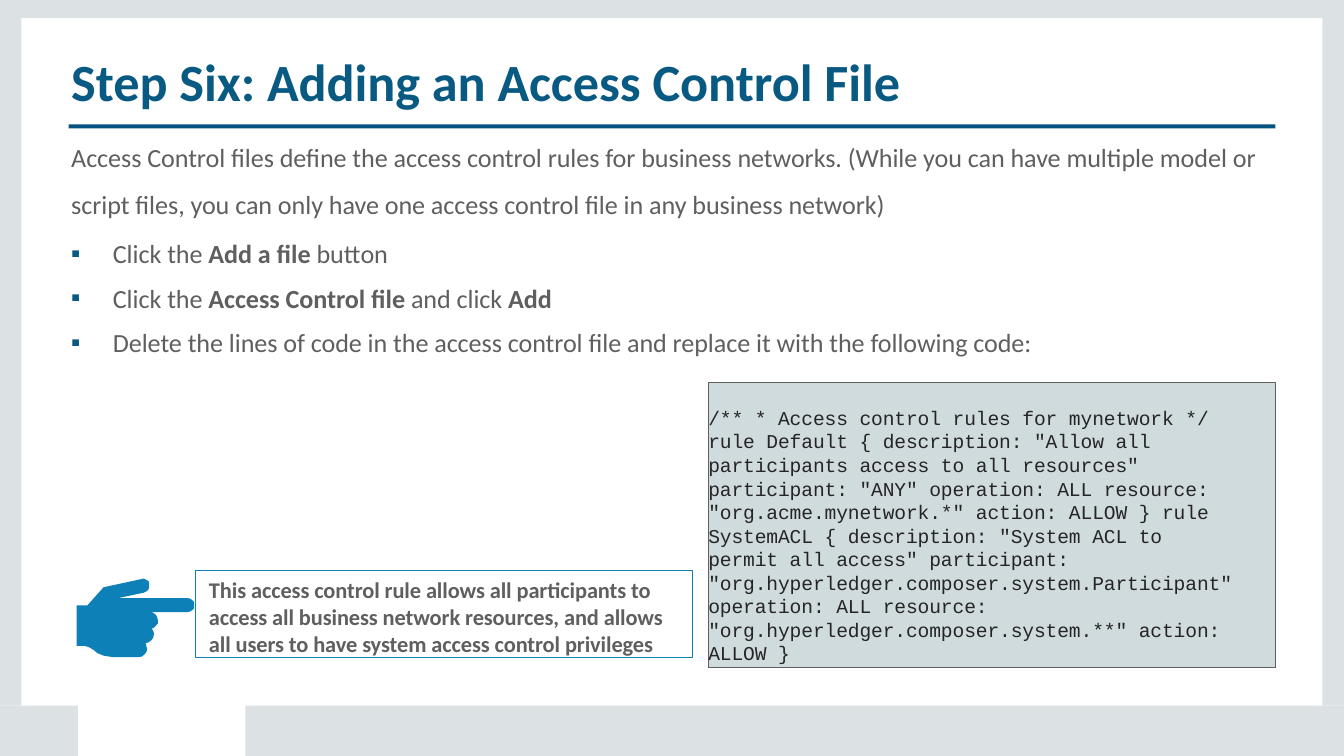
from typing import NamedTuple

from lxml import etree
from pptx import Presentation
from pptx.dml.color import RGBColor
from pptx.enum.shapes import MSO_SHAPE
from pptx.enum.text import MSO_ANCHOR, PP_ALIGN
from pptx.oxml.ns import qn
from pptx.util import Inches, Pt

RECT = MSO_SHAPE.RECTANGLE
TOP = MSO_ANCHOR.TOP
LEFT = PP_ALIGN.LEFT

NAVY, RULE_BLUE, BLUE = "095A82", "055180", "0D80B8"
GREY, FRAME_GREY, CODE_FILL, CODE_TEXT = "5F5F5F", "DCE2E3", "D0DBDE", "252525"


class Box(NamedTuple):
    x: float
    y: float
    w: float
    h: float


class Style(NamedTuple):
    size: float
    color: str
    bold: bool = False
    font: str = "Calibri"
    spacing: int = -6  # hundredths of a point


class Segment(NamedTuple):
    text: str
    bold: bool = False


TITLE = Style(56, NAVY, bold=True)
BODY = Style(28, GREY)
NOTE = Style(24, GREY, bold=True, spacing=-10)
CODE = Style(21, CODE_TEXT, font="Courier New", spacing=-14)

FRAME = [
    Box(19.68, 0.27, 0.32, 10.23),
    Box(0, 0.27, 0.32, 10.23),
    Box(3.65, 10.5, 16.35, 0.75),
    Box(0, 10.5, 1.16, 0.75),
    Box(0, 0, 20, 0.27),
]

INTRO = (
    "Access Control files define the access control rules for business networks. "
    "(While you can have multiple model or script files, you can only have one "
    "access control file in any business network)"
)
STEPS = [
    [Segment("Click the "), Segment("Add a file ", True), Segment("button")],
    [Segment("Click the "), Segment("Access Control file ", True),
     Segment("and click "), Segment("Add", True)],
    [Segment("Delete the lines of code in the access control file and replace "
             "it with the following code:")],
]
NOTE_TEXT = (
    "This access control rule allows all participants to access all business "
    "network resources, and allows all users to have system access control privileges"
)
CODE_LINES = [
    "/** * Access control rules for mynetwork */",
    'rule Default { description: "Allow all',
    'participants access to all resources"',
    'participant: "ANY" operation: ALL resource:',
    '"org.acme.mynetwork.*" action: ALLOW } rule',
    'SystemACL { description: "System ACL to',
    'permit all access" participant:',
    '"org.hyperledger.composer.system.Participant"',
    "operation: ALL resource:",
    '"org.hyperledger.composer.system.**" action:',
    "ALLOW }",
]

# Outline of the pointing hand, in hundredths of an inch
HAND = [
    (214, 861), (154, 874), (130, 901), (114, 901), (114, 961), (125, 961),
    (132, 963), (139, 967), (145, 972), (155, 976), (169, 978), (206, 978),
    (211, 977), (215, 974), (218, 970), (219, 965), (218, 963), (218, 960),
    (217, 958), (215, 957), (217, 957), (221, 956), (225, 953), (228, 949),
    (229, 944), (229, 942), (228, 939), (227, 937), (225, 936), (229, 934),
    (232, 931), (235, 928), (235, 923), (234, 919), (232, 915), (228, 912),
    (223, 911), (279, 911), (283, 910), (286, 908), (289, 905), (289, 901),
    (289, 896), (286, 893), (283, 891), (279, 890), (176, 890), (214, 882),
    (218, 880), (221, 877), (222, 873), (222, 869), (221, 865), (218, 863),
]


def rgb(value: str) -> RGBColor:
    return RGBColor.from_string(value)


def paint(sp, fill: str | None, line: str | None = None) -> None:
    sp.shadow.inherit = False
    if fill:
        sp.fill.solid()
        sp.fill.fore_color.rgb = rgb(fill)
    else:
        sp.fill.background()
    if line:
        sp.line.color.rgb = rgb(line)
        sp.line.width = Pt(0.72)
    else:
        sp.line.fill.background()


def add_rect(slide, box: Box, fill: str | None, line: str | None = None):
    sp = slide.shapes.add_shape(RECT, *map(Inches, box))
    paint(sp, fill, line)
    return sp


def add_text_box(slide, box: Box):
    return slide.shapes.add_textbox(*map(Inches, box))


def style_paragraph(p, style: Style) -> None:
    p.alignment = LEFT
    for r in p.runs:
        r.font.size = Pt(style.size)
        r.font.name = style.font
        r.font.color.rgb = rgb(style.color)
        r.font.bold = r.font.bold or style.bold
        r._r.get_or_add_rPr().set("spc", str(style.spacing))


def fill_text(sp, text: str, style: Style, top: float, side: float = 0):
    """Put one styled paragraph in the shape, with insets in inches."""
    tf = sp.text_frame
    tf.word_wrap = True
    tf.vertical_anchor = TOP
    tf.margin_left = tf.margin_right = Inches(side)
    tf.margin_top, tf.margin_bottom = Inches(top), 0
    tf.text = text
    style_paragraph(tf.paragraphs[0], style)
    return tf


def add_step(tf, segments: list[Segment], space_before: float) -> None:
    p = tf.add_paragraph()
    pPr = p._p.get_or_add_pPr()
    pPr.set("marL", str(Inches(0.62)))
    pPr.set("indent", str(-Inches(0.62)))
    color = etree.SubElement(pPr, qn("a:buClr"))
    etree.SubElement(color, qn("a:srgbClr"), val=NAVY)
    etree.SubElement(pPr, qn("a:buFont"), typeface="Calibri")
    etree.SubElement(pPr, qn("a:buChar"), char="▪")
    p.space_before = Pt(space_before)
    for segment in segments:
        r = p.add_run()
        r.text = segment.text
        r.font.bold = segment.bold
    style_paragraph(p, BODY)


def add_hand(slide) -> None:
    builder = slide.shapes.build_freeform(*HAND[0], scale=Inches(0.01))
    builder.add_line_segments(HAND[1:], close=True)
    paint(builder.convert_to_shape(), BLUE)


def main() -> None:
    prs = Presentation()
    prs.slide_width, prs.slide_height = Inches(20), Inches(11.25)
    slide = prs.slides.add_slide(prs.slide_layouts[6])

    for box in FRAME:
        add_rect(slide, box, FRAME_GREY)
    add_rect(slide, Box(1.02, 1.85, 17.96, 0.06), RULE_BLUE)

    title = add_text_box(slide, Box(1.03, 0.71, 17.88, 0.97))
    fill_text(title, "Step Six: Adding an Access Control File", TITLE, 0.03, 0.03)

    body = add_text_box(slide, Box(1.03, 1.84, 17.88, 3.51))
    tf = fill_text(body, INTRO, BODY, 0.03, 0.03)
    tf.paragraphs[0].line_spacing = 1.5
    for i, step in enumerate(STEPS):
        add_step(tf, step, 13.9 if i else 19.2)

    code = add_rect(slide, Box(10.54, 5.69, 8.44, 4.24), CODE_FILL, GREY)
    fill_text(code, "\v".join(CODE_LINES), CODE, 0.35)

    note = add_rect(slide, Box(2.91, 8.49, 7.39, 1.29), None, BLUE)
    fill_text(note, NOTE_TEXT, NOTE, 0.08, 0.2)
    add_hand(slide)

    prs.save("out.pptx")


if __name__ == "__main__":
    main()
